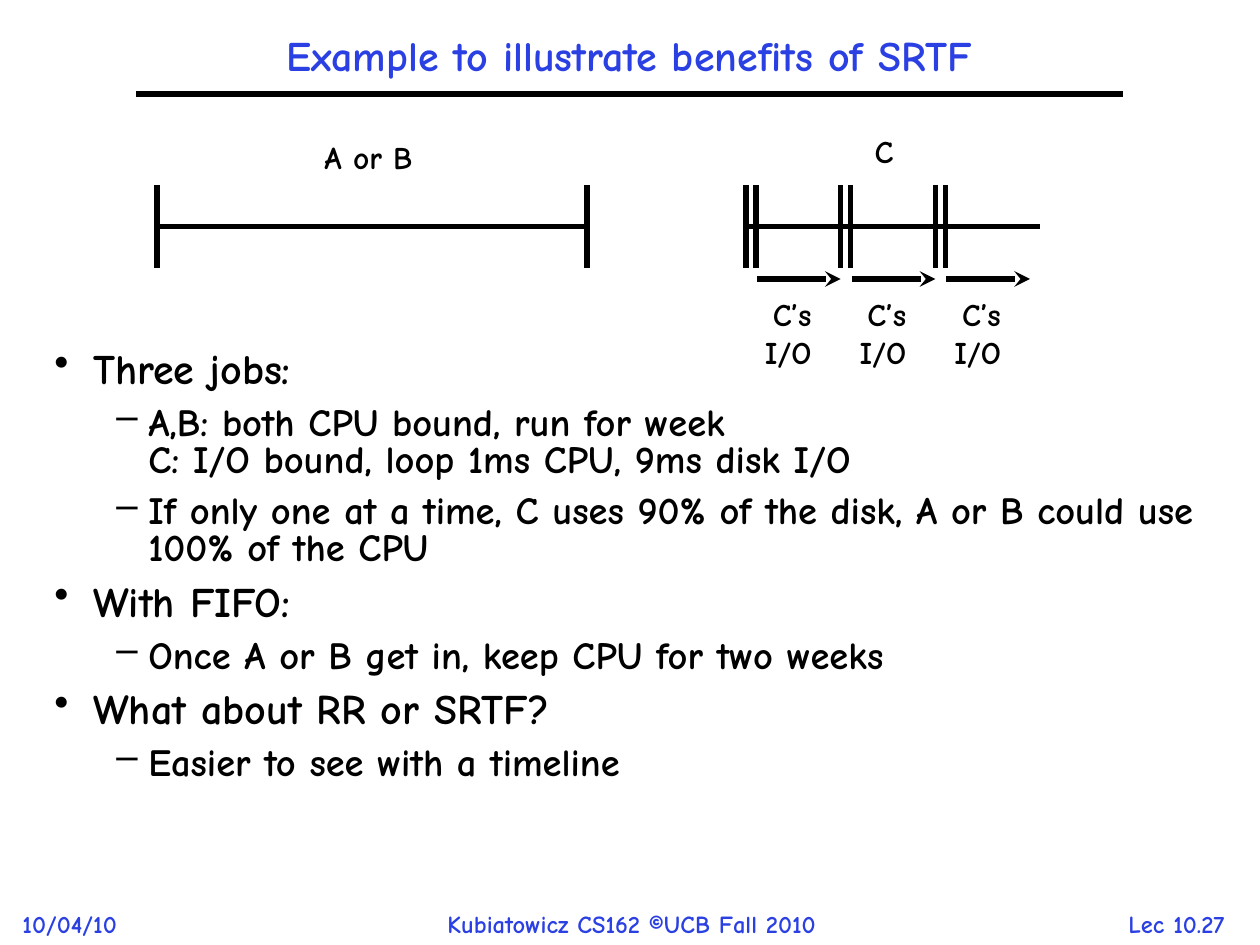
from lxml.etree import SubElement
from pptx import Presentation
from pptx.dml.color import RGBColor
from pptx.enum.shapes import MSO_CONNECTOR
from pptx.enum.text import MSO_ANCHOR, MSO_AUTO_SIZE, PP_ALIGN
from pptx.oxml.ns import qn
from pptx.util import Emu, Pt

COLORS = {"accent": "2A40E2", "ink": "000000"}
FONT = "Comic Neue"
LEFT, CENTER, RIGHT = PP_ALIGN.LEFT, PP_ALIGN.CENTER, PP_ALIGN.RIGHT

BULLETS = [
    (0, "Three jobs:"),
    (1, "A,B: both CPU bound, run for week\vC: I/O bound, loop 1ms CPU, 9ms disk I/O"),
    (1, "If only one at a time, C uses 90% of the disk, A or B could use 100% of the CPU"),
    (0, "With FIFO:"),
    (1, "Once A or B get in, keep CPU for two weeks"),
    (0, "What about RR or SRTF?"),
    (1, "Easier to see with a timeline"),
]
# Per level: mark, text size, space before, left margin and hanging indent in px
LEVELS = [("•", 24, 9, 39, 39), ("–", 22, 8.2, 94, 32)]


def px(length):
    return Emu(round(length * 914400 / 126))


def write(para, text, size=18, color="ink", align=LEFT, spacing=1.0):
    para.text = text
    para.alignment = align
    para.line_spacing = spacing
    for span in para.runs:
        span.font.name = FONT
        span.font.size = Pt(size)
        span.font.bold = True
        span.font.color.rgb = RGBColor.from_string(COLORS[color])


def add_text(shapes, box, lines, wrap=False, **style):
    frame = shapes.add_textbox(*map(px, box)).text_frame
    frame.word_wrap = wrap
    for index, line in enumerate(lines):
        para = frame.add_paragraph() if index else frame.paragraphs[0]
        write(para, line, **style)
    return frame


def add_line(shapes, x1, y1, x2, y2, arrow=False):
    line = shapes.add_connector(MSO_CONNECTOR.STRAIGHT, *map(px, (x1, y1, x2, y2)))
    line.line.color.rgb = RGBColor.from_string(COLORS["ink"])
    line.line.width = Pt(3)
    if arrow:
        SubElement(line.line._get_or_add_ln(), qn("a:tailEnd"), type="stealth")
    SubElement(line._element.spPr, qn("a:effectLst"))


def add_title(page, box):
    left, top, width, height = box
    title = page.shapes.title
    title.left, title.top, title.width, title.height = map(px, box)
    frame = title.text_frame
    frame.auto_size = MSO_AUTO_SIZE.NONE
    frame.vertical_anchor = MSO_ANCHOR.MIDDLE
    write(frame.paragraphs[0], "Example to illustrate benefits of SRTF",
          size=24, color="accent", align=CENTER, spacing=0.9)
    add_line(page.shapes, left, top + height, left + width, top + height)


def add_footer(page, box):
    left, top, width, height = box
    items = [
        (0, 120, "10/04/10", LEFT),
        (425, 394, "Kubiatowicz CS162 ©UCB Fall 2010", LEFT),
        (1064, 205, "Lec 10.27", CENTER),
    ]
    for offset, item_width, text, align in items:
        add_text(page.shapes, (left + offset, top, item_width, height), [text],
                 size=14, color="accent", align=align)


def add_long_job(page, box):
    left, top, width, height = box
    shapes = page.shapes.add_group_shape().shapes
    add_line(shapes, left, top + height / 2, left + width, top + height / 2)
    for x in (left, left + width):
        add_line(shapes, x, top, x, top + height)
    add_text(shapes, (left + 155, top - 53, 113, 50), ["A or B"], align=CENTER)


def add_short_job(page, box, bursts=3):
    left, top, width, height = box
    burst = 10
    shapes = page.shapes.add_group_shape().shapes
    add_line(shapes, left, top + height / 2, left + width, top + height / 2)
    add_text(shapes, (left + 116, top - 59, 44, 50), ["C"], align=RIGHT)
    period = (width - burst) / bursts
    for index in range(bursts):
        start = left + index * period
        # CPU burst between two ticks, then the disk wait
        for x in (start, start + burst):
            add_line(shapes, x, top, x, top + height)
        arrow_y = top + height + 11
        add_line(shapes, start + burst + 1, arrow_y, start + period, arrow_y, arrow=True)
        add_text(shapes, (start + 4, arrow_y + 10, 74, 88), ["C’s ", "I/O"], align=RIGHT)


def add_bullets(page, box):
    frame = add_text(page.shapes, box, [text for _, text in BULLETS],
                     wrap=True, spacing=0.8)
    for para, (level, _) in zip(frame.paragraphs, BULLETS):
        mark, size, before, margin, hanging = LEVELS[level]
        para.level = level
        para.space_before = Pt(before)
        for span in para.runs:
            span.font.size = Pt(size)
        props = para._p.get_or_add_pPr()
        props.set("marL", str(px(margin)))
        props.set("indent", str(-px(hanging)))
        color = SubElement(props, qn("a:buClr"))
        SubElement(color, qn("a:srgbClr"), val=COLORS["ink"])
        SubElement(props, qn("a:buChar"), char=mark)


def main():
    deck = Presentation()
    deck.slide_width, deck.slide_height = px(1260), px(945)
    page = deck.slides.add_slide(deck.slide_layouts[5])
    add_title(page, (136, 21, 987, 73))
    add_long_job(page, (157, 185, 430, 83))
    add_short_job(page, (746, 185, 294, 83))
    add_bullets(page, (42, 346, 1187, 483))
    add_footer(page, (10, 903, 1269, 42))
    deck.save("out.pptx")


if __name__ == "__main__":
    main()
